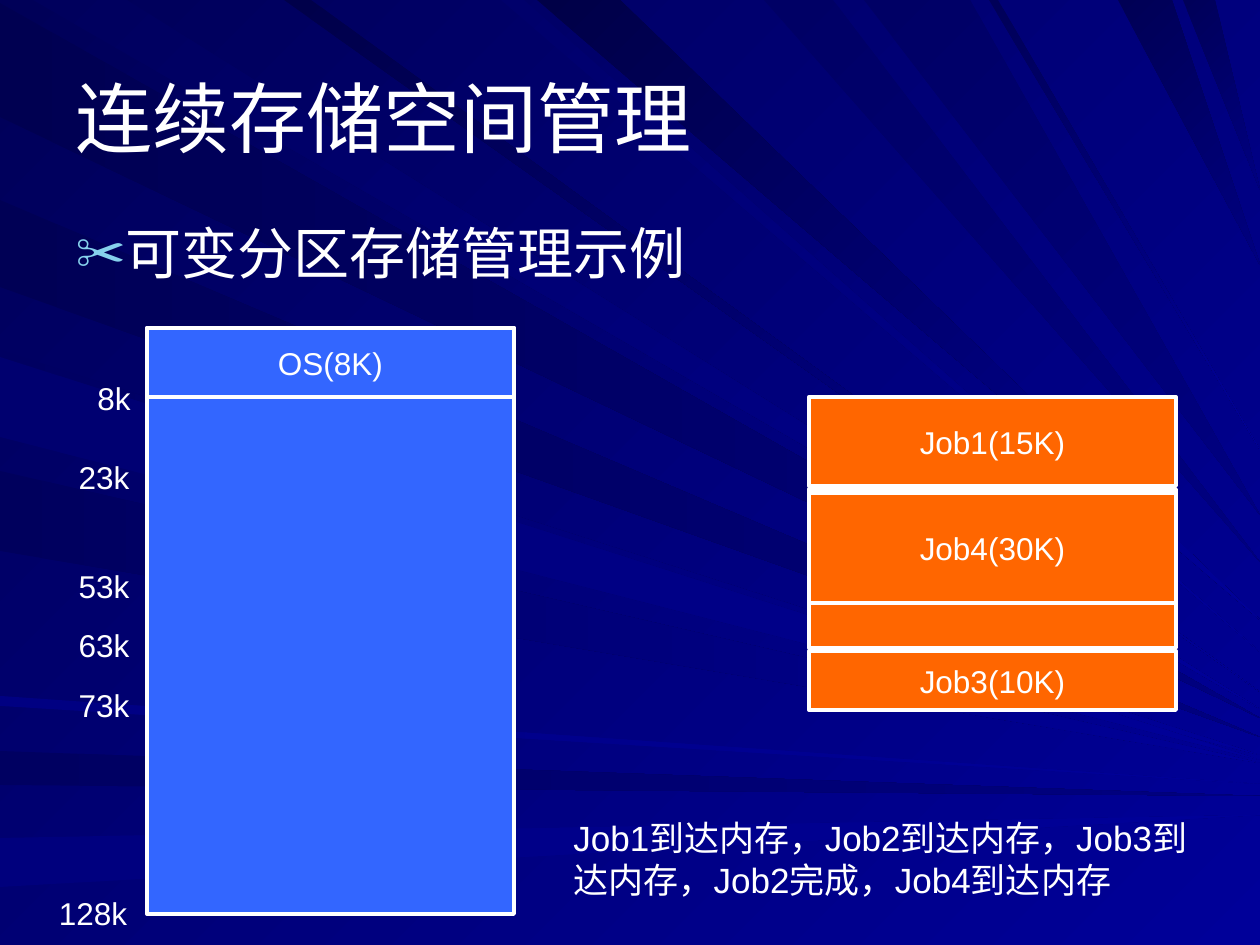
"""Build the slide on variable-partition memory management."""
from lxml import etree
from pptx import Presentation
from pptx.dml.color import RGBColor
from pptx.enum.text import MSO_ANCHOR, MSO_AUTO_SIZE, PP_ALIGN
from pptx.enum.shapes import MSO_SHAPE
from pptx.oxml.ns import qn
from pptx.util import Pt

LEFT, CENTER = PP_ALIGN.LEFT, PP_ALIGN.CENTER
MIDDLE, TOP = MSO_ANCHOR.MIDDLE, MSO_ANCHOR.TOP
NO_FIT = MSO_AUTO_SIZE.NONE
RECTANGLE = MSO_SHAPE.RECTANGLE
EMU_PER_PX = 914400 / 126
SLIDE_WIDTH, SLIDE_HEIGHT = 1260, 945
WHITE, BLUE, ORANGE, BULLET_COLOR = "FFFFFF", "3366FF", "FF6600", "86D1EC"

TITLE = ("连续存储空间管理", (63, 38, 1134, 157), 44)
SUBTITLE = ("可变分区存储管理示例", (63, 220, 1134, 73), 32)
NOTE = ("Job1到达内存，Job2到达内存，Job3到达内存，Job2完成，Job4到达内存", (561, 810, 645, 97), 20)

BLOCK_WIDTH = 367
MEMORY_LEFT, JOB_LEFT = 147, 809
BLOCKS = [
    ("", MEMORY_LEFT, 328, 586, BLUE),
    ("OS(8K)", MEMORY_LEFT, 328, 69, BLUE),
    ("Job1(15K)", JOB_LEFT, 397, 89, ORANGE),
    ("", JOB_LEFT, 489, 159, ORANGE),
    ("Job3(10K)", JOB_LEFT, 651, 59, ORANGE),
    ("Job4(30K)", JOB_LEFT, 493, 110, ORANGE),
]

LABEL_HEIGHT, LABEL_WIDTH = 50, 79
LABELS = [("8k", 114, 373), ("23k", 104, 452), ("53k", 104, 561),
          ("63k", 104, 620), ("73k", 104, 680), ("128k", 93, 888)]

BACKGROUND = ("000058", "000099", 45)
LEFT_RAYS = [
    (3, 117, 718, "000051", "000080"),
    (751, 785, 796, "000061", "000080"),
    (838, 887, 815, "00007D", "000099"),
    (200, 287, 737, "000055", "000080"),
    (350, 431, 755, "000061", "000099"),
    (471, 551, 763, "00005D", "000099"),
    (696, 706, 784, "000082", "000099"),
    (357, 437, 760, "00006F", "000099"),
]
TOP_RAYS = [
    (33, 127, 709, "00005D", "000099"),
    (501, 524, 652, "00006B", "000099"),
    (537, 620, 620, "000047", "000099"),
    (764, 833, 562, "000065", "000080"),
    (1118, 1172, 265, "000055", "000080"),
    (1183, 1215, 190, "000059", "000080"),
    (284, 311, 692, "00004A", "000099"),
    (864, 970, 515, "000065", "000080"),
    (989, 998, 450, "000058", "000099"),
]


def px(*lengths):
    return [round(length * EMU_PER_PX) for length in lengths]


def color(value):
    return RGBColor.from_string(value)


def set_gradient(fill, start, end, angle):
    fill.gradient()
    fill.gradient_angle = -angle % 360
    for stop, value, position in zip(fill.gradient_stops, (start, end), (0, 1)):
        stop.color.rgb = color(value)
        stop.position = position


def set_text(shape, text, size, align, anchor, wrap):
    frame = shape.text_frame
    frame.text = text
    frame.word_wrap = wrap
    frame.auto_size = NO_FIT
    frame.vertical_anchor = anchor
    paragraph = frame.paragraphs[0]
    paragraph.alignment = align
    paragraph.space_before = Pt(0)
    for run in paragraph.runs:
        run.font.name = "Arial"
        run.font.size = Pt(size)
        run.font.color.rgb = color(WHITE)
    return paragraph


def set_bullet(paragraph, character):
    properties = paragraph._p.get_or_add_pPr()
    indent = px(48)[0]
    properties.set("marL", str(indent))
    properties.set("indent", str(-indent))
    bullet_color = etree.SubElement(properties, qn("a:buClr"))
    etree.SubElement(bullet_color, qn("a:srgbClr"), val=BULLET_COLOR)
    etree.SubElement(properties, qn("a:buSzPct"), val="90000")
    etree.SubElement(properties, qn("a:buChar"), char=character)


def add_ray(slide, first, second, tip_y, start, end, angle):
    builder = slide.shapes.build_freeform(*first, scale=EMU_PER_PX)
    builder.add_line_segments([second, (SLIDE_WIDTH, tip_y)], close=True)
    shape = builder.convert_to_shape()
    shape.shadow.inherit = False
    shape.line.fill.background()
    set_gradient(shape.fill, start, end, angle)


def add_block(slide, text, left, top, height, fill):
    shape = slide.shapes.add_shape(RECTANGLE, *px(left, top, BLOCK_WIDTH, height))
    shape.shadow.inherit = False
    shape.fill.solid()
    shape.fill.fore_color.rgb = color(fill)
    shape.line.color.rgb = color(WHITE)
    shape.line.width = Pt(2.25)
    if text:
        set_text(shape, text, 18, CENTER, MIDDLE, False)


def place(slide, placeholder, box):
    placeholder.left, placeholder.top, placeholder.width, placeholder.height = px(*box)
    slide.shapes.element.append(placeholder.element)


def main():
    presentation = Presentation()
    presentation.slide_width, presentation.slide_height = px(SLIDE_WIDTH, SLIDE_HEIGHT)
    slide = presentation.slides.add_slide(presentation.slide_layouts[1])
    set_gradient(slide.background.fill, *BACKGROUND)
    for upper, lower, tip_y, start, end in LEFT_RAYS:
        add_ray(slide, (0, upper), (0, lower), tip_y, start, end, 0)
    for near, far, tip_y, start, end in TOP_RAYS:
        add_ray(slide, (near, 0), (far, 0), tip_y, start, end, 45)

    title, body = slide.shapes.title, slide.placeholders[1]
    text, box, size = TITLE
    place(slide, title, box)
    set_text(title, text, size, LEFT, MIDDLE, True)
    text, box, size = SUBTITLE
    place(slide, body, box)
    paragraph = set_text(body, text, size, LEFT, TOP, True)
    paragraph.line_spacing = 0.9
    set_bullet(paragraph, "✂")

    for block in BLOCKS:
        add_block(slide, *block)
    text, box, size = NOTE
    set_text(slide.shapes.add_textbox(*px(*box)), text, size, LEFT, TOP, True)
    for text, middle, top in LABELS:
        box = px(middle - LABEL_WIDTH / 2, top, LABEL_WIDTH, LABEL_HEIGHT)
        set_text(slide.shapes.add_textbox(*box), text, 18, CENTER, TOP, False)
    presentation.save("out.pptx")


if __name__ == "__main__":
    main()
